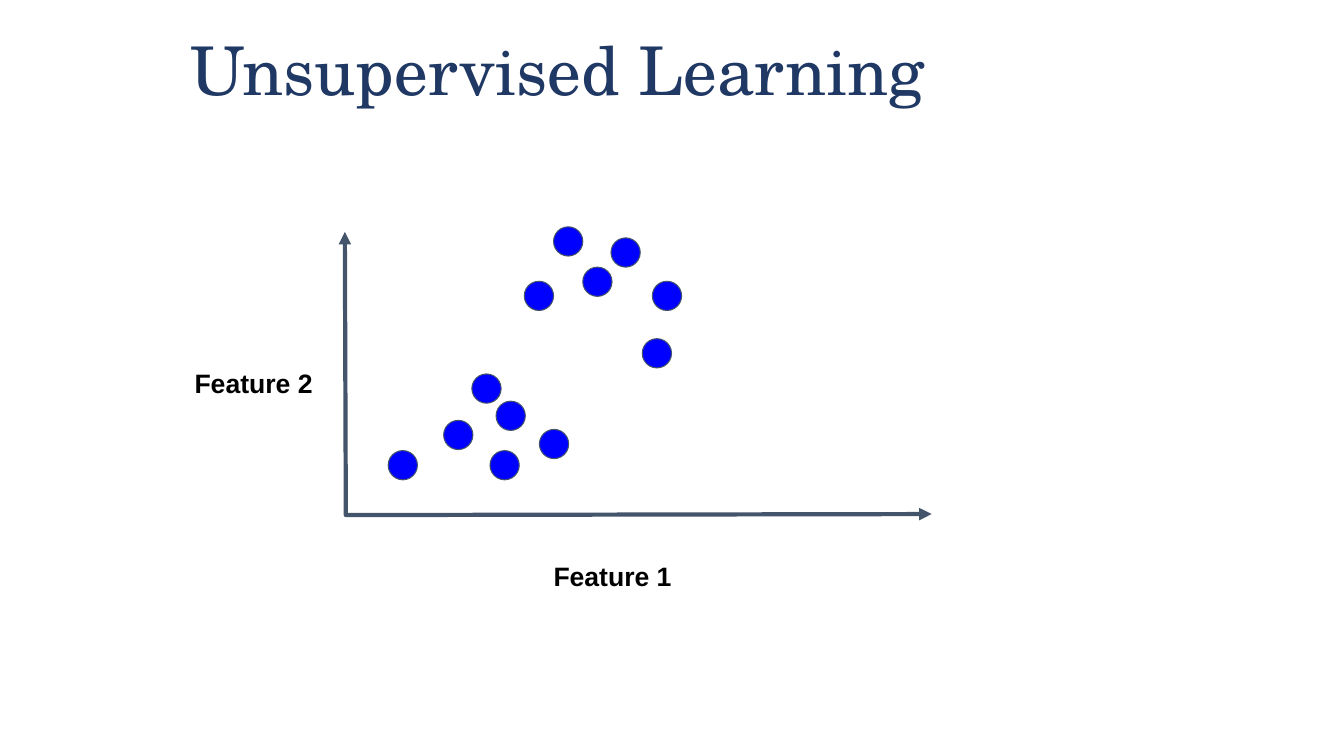
import dataclasses
import pptx
import pptx.util
import pptx.dml.color
import pptx.enum.shapes
import pptx.enum.text
import pptx.oxml

COLS, ROWS = 133.3, 75
DOT = 2.9
LOW = [(38.5, 44.7), (44, 41.7), (48.6, 44.7), (53.5, 42.6), (46.8, 37.1), (49.2, 39.8)]
HIGH = [(52, 27.9), (54.9, 22.5), (57.8, 26.5), (60.6, 23.6), (64.7, 27.9), (63.7, 33.6)]
AXES = [(34.2, 23), (34.3, 51.1), (92.4, 51)]


@dataclasses.dataclass(frozen=True)
class Theme:
    navy: str = "1F3864"
    ink: str = "000000"
    slate: str = "44546A"
    blue: str = "0000FF"
    serif: str = "TeX Gyre Schola"
    sans: str = "Arial"
    title: int = 48
    label: int = 19
    axis: float = 3
    edge: float = 0.75


THEME = Theme()


def unit(cells):
    return pptx.util.Inches(cells / 10)


def tint(code):
    return pptx.dml.color.RGBColor.from_string(code)


def stroke(shape, width):
    shape.shadow.inherit = False
    shape.line.color.rgb = tint(THEME.slate)
    shape.line.width = pptx.util.Pt(width)


def write(slide, text, box, *, font, size, color, bold=False, align="LEFT", inset=1, space=1.0):
    frame = slide.shapes.add_textbox(*map(unit, box)).text_frame
    frame.word_wrap = True
    frame.vertical_anchor = pptx.enum.text.MSO_ANCHOR.TOP
    frame.margin_left = frame.margin_right = unit(inset)
    frame.margin_top = frame.margin_bottom = unit(inset)
    para = frame.paragraphs[0]
    para.alignment = pptx.enum.text.PP_ALIGN[align]
    para.line_spacing = space
    run = para.add_run()
    run.text = text
    run.font.name = font
    run.font.size = pptx.util.Pt(size)
    run.font.bold = bold
    run.font.color.rgb = tint(color)


def label(slide, text, box):
    write(slide, text, box, font=THEME.sans, size=THEME.label,
          color=THEME.ink, bold=True, align="CENTER")


def axes(slide, points):
    start, *rest = [(unit(x), unit(y)) for x, y in points]
    pen = slide.shapes.build_freeform(*start)
    pen.add_line_segments(rest, close=False)
    shape = pen.convert_to_shape()
    shape.fill.background()
    stroke(shape, THEME.axis)
    line = shape.line._get_or_add_ln()
    for end in ("headEnd", "tailEnd"):
        line.append(pptx.oxml.parse_xml(
            f'<a:{end} xmlns:a="http://schemas.openxmlformats.org/drawingml/2006/main"'
            ' type="triangle"/>'))


def dot(slide, col, row):
    shape = slide.shapes.add_shape(
        pptx.enum.shapes.MSO_SHAPE.OVAL, unit(col), unit(row), unit(DOT), unit(DOT))
    shape.fill.solid()
    shape.fill.fore_color.rgb = tint(THEME.blue)
    stroke(shape, THEME.edge)


def main():
    deck = pptx.Presentation()
    deck.slide_width, deck.slide_height = unit(COLS), unit(ROWS)
    slide = deck.slides.add_slide(deck.slide_layouts[6])
    axes(slide, AXES)
    label(slide, "Feature 1", (51.5, 54.6, 18.5, 6.4))
    label(slide, "Feature 2", (17.6, 35.4, 15.1, 6.4))
    for col, row in LOW + HIGH:
        dot(slide, col, row)
    write(slide, "Unsupervised Learning", (17.6, 2.4, 111.1, 11.6), font=THEME.serif,
          size=THEME.title, color=THEME.navy, inset=1.3, space=0.9)
    deck.save("out.pptx")


if __name__ == "__main__":
    main()
